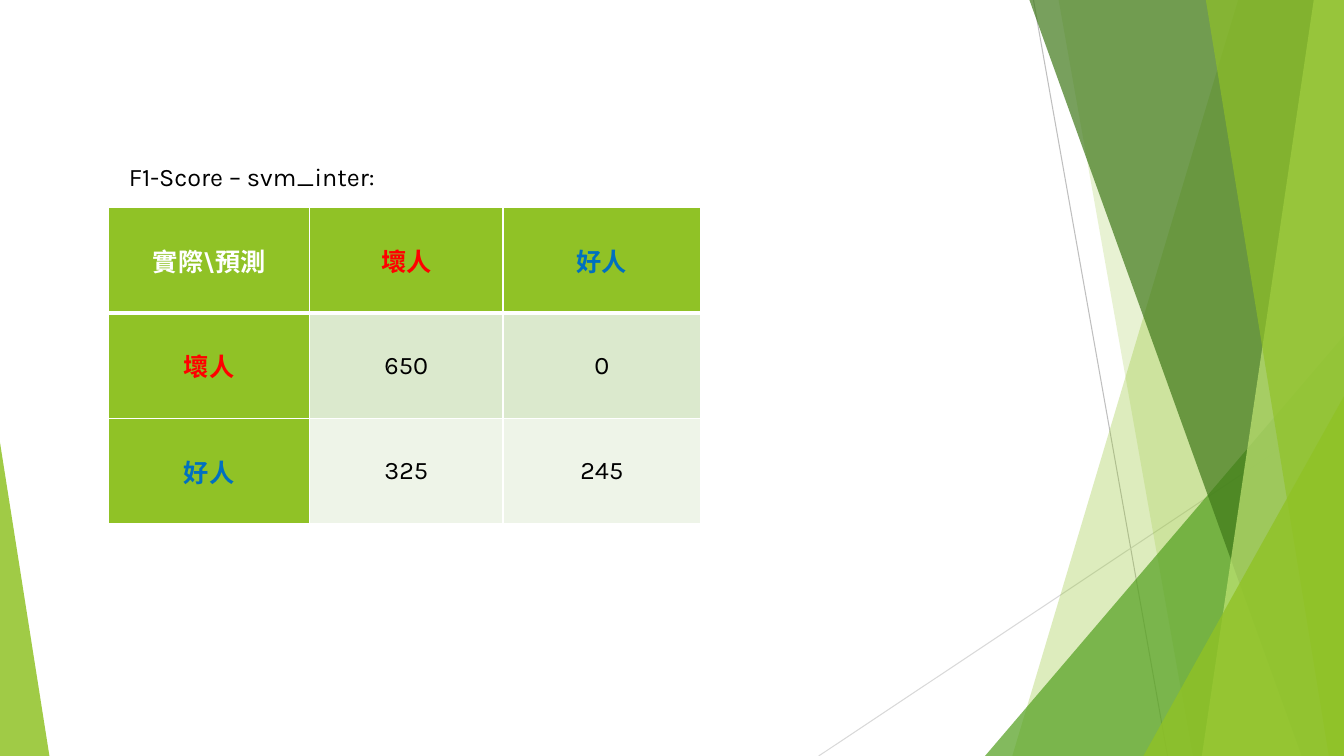
from lxml import etree
from pptx import Presentation
from pptx.dml.color import RGBColor
from pptx.enum.shapes import MSO_CONNECTOR as Connector, MSO_SHAPE as Shape
from pptx.enum.text import MSO_ANCHOR as Anchor, PP_ALIGN as Align
from pptx.oxml import parse_xml
from pptx.oxml.ns import nsdecls, qn
from pptx.util import Inches, Pt

COLUMNS, ROWS = 13.33, 7.5
FONT = "Karla"
COLORS = {
    "lime": "90C226", "green": "54A021", "forest": "3F7819", "pale": "C0E474",
    "gray": "BFBFBF", "silver": "D9D9D9", "white": "FFFFFF", "black": "000000",
    "bad": "FF0000", "good": "0070C0", "band_dark": "DBE9CD", "band_light": "EEF4E8",
}
MATRIX = [["實際\\預測", "壞人", "好人"], ["壞人", "650", "0"], ["好人", "325", "245"]]
LABEL_COLORS = ["white", "bad", "good"]
BANDS = ["lime", "band_dark", "band_light"]


def rgb(name):
    """Look up a palette colour."""
    return RGBColor.from_string(COLORS[name])


def style_text(paragraph, color, bold=False):
    """Format every run of a paragraph."""
    for run in paragraph.runs:
        run.font.name, run.font.size, run.font.bold = FONT, Pt(18), bold
        run.font.color.rgb = rgb(color)


def paint(facet, color, opacity):
    """Fill a facet with a translucent colour and no outline."""
    facet.shadow.inherit = False
    facet.line.fill.background()
    facet.fill.solid()
    facet.fill.fore_color.rgb = rgb(color)
    tint = facet.fill._xPr.find(qn("a:solidFill"))[0]
    etree.SubElement(tint, qn("a:alpha")).set("val", str(opacity * 1000))


def add_ray(slide, box, start, end, color):
    """Draw a thin line between two grid points of the box."""
    left, top, _, _ = box
    ray = slide.shapes.add_connector(
        Connector.STRAIGHT, Inches(left + start[0]), Inches(top + start[1]),
        Inches(left + end[0]), Inches(top + end[1]))
    ray.line.color.rgb, ray.line.width = rgb(color), Pt(0.75)
    etree.SubElement(ray._element.spPr, qn("a:effectLst"))


def add_blade(slide, box, top_x, bottom_x, color, opacity):
    """Draw a slanted facet that runs to the right edge of the box."""
    left, top, width, height = box
    right, bottom = left + width, top + height
    corners = [(right, top), (right, bottom), (left + bottom_x, bottom)]
    outline = slide.shapes.build_freeform(
        Inches(left + top_x), Inches(top))
    outline.add_line_segments([(Inches(x), Inches(y)) for x, y in corners])
    paint(outline.convert_to_shape(), color, opacity)


def add_corner(slide, box, width, height, peak, color, opacity):
    """Draw a right triangle in a bottom corner; peak 0 is left, 1 is right."""
    x = box[0] + peak * (box[2] - width)
    y = box[1] + box[3] - height
    corner = slide.shapes.add_shape(
        Shape.ISOSCELES_TRIANGLE, Inches(x), Inches(y), Inches(width), Inches(height))
    corner.adjustments[0] = peak
    paint(corner, color, opacity)


def add_facets(slide, box):
    """Layer the rays, blades and corners of the decoration."""
    width, height = box[2:]
    add_ray(slide, box, (10.25, 0), (11.58, height), "gray")
    add_ray(slide, box, (width, 4.03), (8.12, height), "silver")
    add_blade(slide, box, 12.28, 10.04, "lime", 30)
    add_blade(slide, box, 10.5, 11.83, "lime", 20)
    add_corner(slide, box, 3.56, 4.17, 1, "green", 72)
    add_blade(slide, box, 10.21, 12.91, "forest", 70)
    add_blade(slide, box, 13.03, 11.92, "pale", 70)
    add_blade(slide, box, 11.96, 13.18, "lime", 65)
    add_corner(slide, box, 1.99, 3.57, 1, "lime", 80)
    add_corner(slide, box, 0.49, 3.11, 0, "lime", 85)


def add_borders(cell, row):
    """Give a cell white borders, thicker between header and body."""
    widths = {"lnL": 1, "lnR": 1, "lnT": 3 if row == 1 else 1, "lnB": 3 if row == 0 else 1}
    for side, width in widths.items():
        cell._tc.get_or_add_tcPr().append(parse_xml(
            f'<a:{side} {nsdecls("a")} w="{Pt(width)}"><a:solidFill>'
            f'<a:srgbClr val="{COLORS["white"]}"/></a:solidFill></a:{side}>'))


def add_matrix(slide, box):
    """Build the confusion matrix inside the box."""
    table = slide.shapes.add_table(
        len(MATRIX), len(MATRIX[0]), *(Inches(length) for length in box)).table
    for column, width in zip(table.columns, (1.99, 1.92, 1.96)):
        column.width = Inches(width)
    for r, labels in enumerate(MATRIX):
        for c, label in enumerate(labels):
            cell = table.cell(r, c)
            heading = r == 0 or c == 0
            add_borders(cell, r)
            cell.fill.solid()
            cell.fill.fore_color.rgb = rgb("lime" if heading else BANDS[r])
            cell.vertical_anchor = Anchor.MIDDLE
            cell.text_frame.text = label
            paragraph = cell.text_frame.paragraphs[0]
            paragraph.alignment = Align.CENTER
            style_text(paragraph, LABEL_COLORS[r + c] if heading else "black", heading)


def add_caption(slide, box):
    """Write the caption above the matrix."""
    frame = slide.shapes.add_textbox(*(Inches(length) for length in box)).text_frame
    frame.word_wrap = True
    frame.text = "F1-Score – svm_inter:"
    style_text(frame.paragraphs[0], "black")


def main():
    """Assemble and save the slide."""
    deck = Presentation()
    deck.slide_width, deck.slide_height = Inches(COLUMNS), Inches(ROWS)
    slide = deck.slides.add_slide(deck.slide_layouts[6])
    add_facets(slide, (0, 0, COLUMNS, ROWS))
    add_matrix(slide, (1.08, 2.06, 5.87, 3.14))
    add_caption(slide, (1.18, 1.55, 3.13, 0.4))
    deck.save("out.pptx")


if __name__ == "__main__":
    main()
